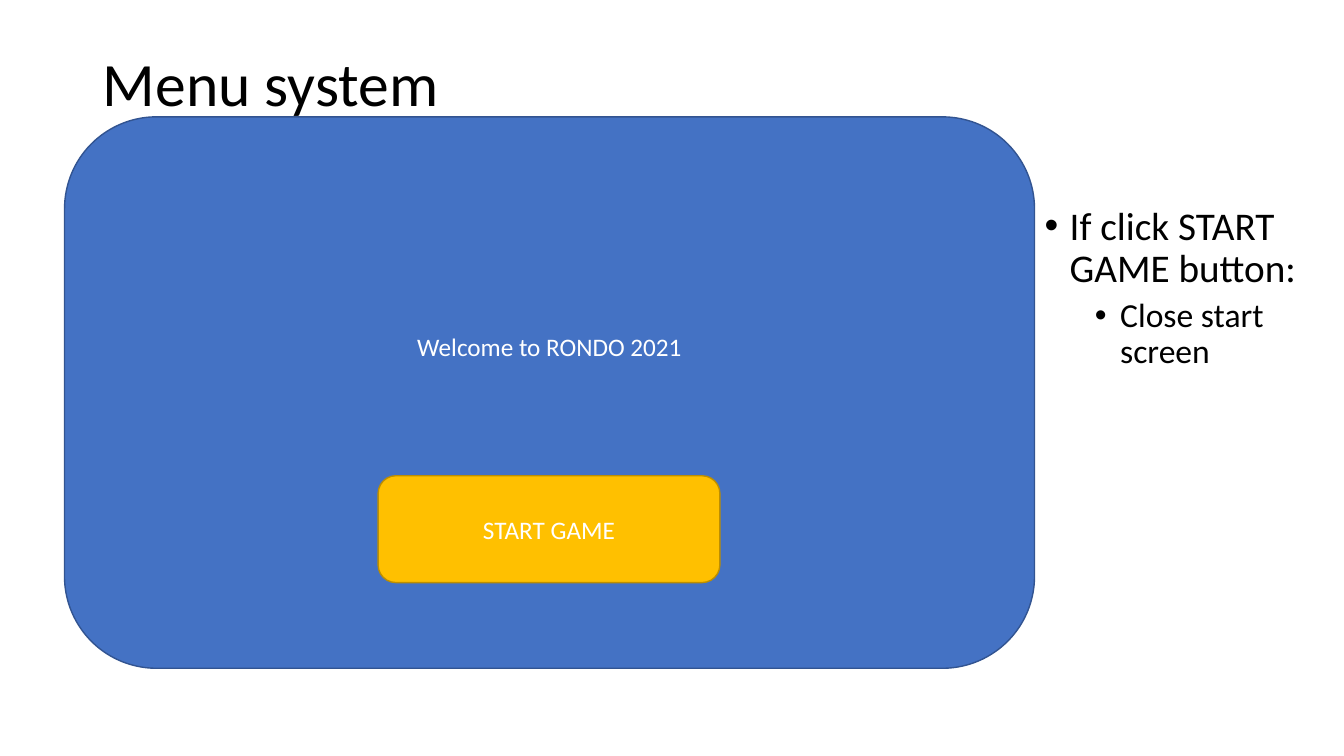
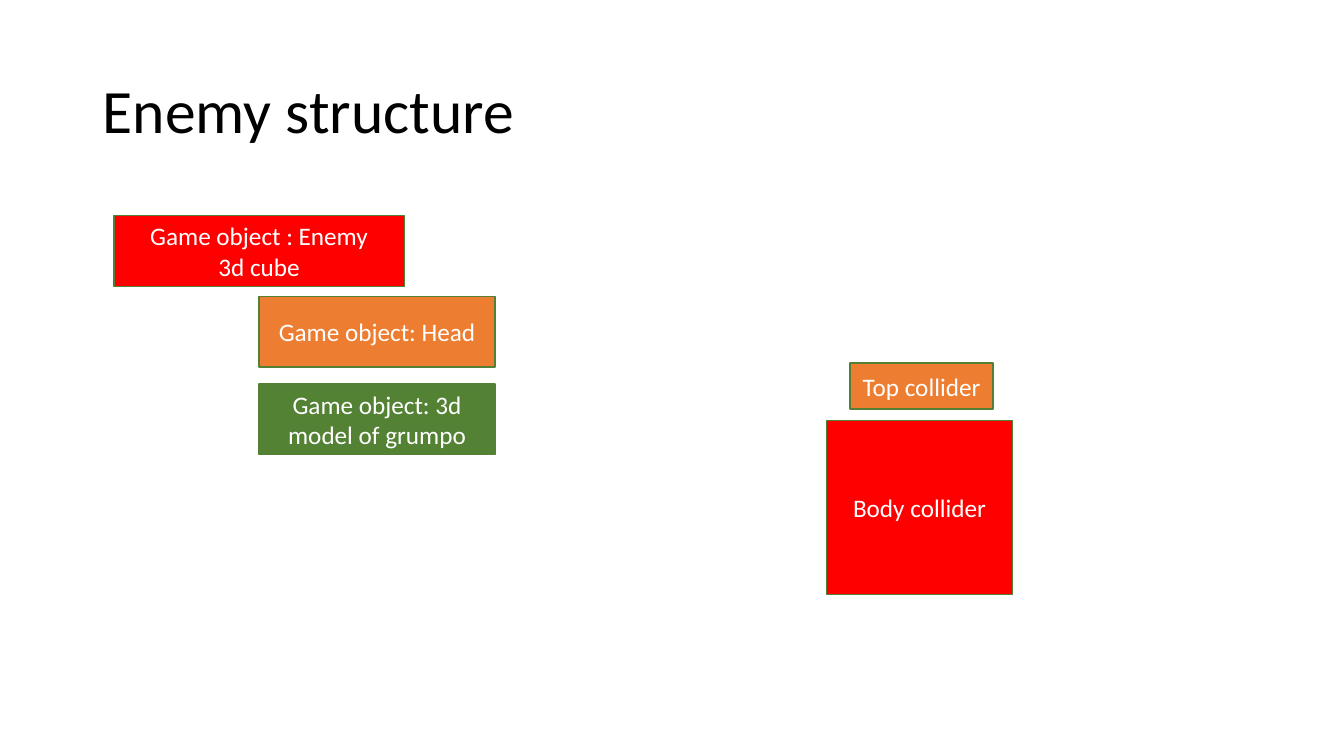
import pptx
import pptx.util
import pptx.dml.color
import pptx.enum.shapes
import pptx.enum.text
from lxml import etree

Inches, Pt = pptx.util.Inches, pptx.util.Pt
RGBColor = pptx.dml.color.RGBColor
SHAPE = pptx.enum.shapes.MSO_SHAPE
ALIGN = pptx.enum.text.PP_ALIGN
ANCHOR = pptx.enum.text.MSO_ANCHOR

# Shared style
FONT = "Calibri"
BLACK, WHITE = RGBColor(0, 0, 0), RGBColor(255, 255, 255)
BLUE, NAVY = RGBColor(0x44, 0x72, 0xC4), RGBColor(0x32, 0x54, 0x91)
GOLD, DARK_GOLD = RGBColor(0xFF, 0xC0, 0), RGBColor(0xBD, 0x8E, 0)
RED, ORANGE = RGBColor(0xFF, 0, 0), RGBColor(0xED, 0x7D, 0x31)
GREEN, DARK_GREEN = RGBColor(0x54, 0x82, 0x35), RGBColor(0x53, 0x80, 0x35)
TITLE_AND_BODY, TITLE_ONLY = 1, 5
LEVELS = [dict(size=28, before=10, indent=0.25), dict(size=24, before=5, indent=0.75)]

# Content: boxes are (lines, fill, line, shape, (left, top, width, height), bottom inset)
CHILD_LEFT, CHILD_W, NODE_H = 2.57, 2.34, 0.7
SLIDES = [
    dict(title="Menu system", title_top=0.13,
         bullets=[("If click START GAME button:", 0), ("Close start screen", 1)],
         boxes=[
             (["Welcome to RONDO 2021"], BLUE, NAVY, SHAPE.ROUNDED_RECTANGLE,
              (0.64, 1.16, 9.62, 5.47), 0.97),
             (["START GAME"], GOLD, DARK_GOLD, SHAPE.ROUNDED_RECTANGLE,
              (3.75, 4.72, 3.39, 1.06), 0.05),
         ]),
    dict(title="Enemy structure", title_top=0.4, bullets=[],
         boxes=[(lines, fill, DARK_GREEN, SHAPE.RECTANGLE, place, 0.05)
                for lines, fill, place in [
                    (["Body collider"], RED, (8.2, 4.17, 1.84, 1.73)),
                    (["Top collider"], ORANGE, (8.43, 3.6, 1.42, 0.46)),
                    (["Game object : Enemy", "3d cube"], RED, (1.13, 2.14, 2.88, NODE_H)),
                    (["Game object: Head"], ORANGE, (CHILD_LEFT, 2.94, CHILD_W, NODE_H)),
                    (["Game object: 3d model of grumpo"], GREEN,
                     (CHILD_LEFT, 3.81, CHILD_W, NODE_H)),
                ]]),
]


def write(p, text, size=18, color=WHITE, align=ALIGN.CENTER, spacing=1.0, before=0):
    p.alignment, p.line_spacing, p.space_before = align, spacing, Pt(before)
    r = p.add_run()
    r.text = text
    r.font.name, r.font.size, r.font.color.rgb = FONT, Pt(size), color


def place_at(sp, left, top, width, height):
    sp.left, sp.top, sp.width, sp.height = map(Inches, (left, top, width, height))


def paragraphs(tf, items):
    """Yield each item with its own paragraph, using the first one already there."""
    for i, item in enumerate(items):
        yield (tf.add_paragraph() if i else tf.paragraphs[0]), item


def set_frame(tf, anchor):
    tf.word_wrap, tf.vertical_anchor = True, anchor
    tf.auto_size = pptx.enum.text.MSO_AUTO_SIZE.NONE


def add_bullet(p, indent):
    pPr = p._p.get_or_add_pPr()
    pPr.set("marL", str(Inches(indent)))
    pPr.set("indent", str(Inches(-0.25)))
    for tag, key, value in [("buFont", "typeface", "Arial"), ("buChar", "char", "•")]:
        etree.SubElement(pPr, pptx.oxml.ns.qn("a:" + tag)).set(key, value)


def add_title(s, text, top):
    sp = s.shapes.title
    place_at(sp, 0.92, top, 11.5, 1.45)
    set_frame(sp.text_frame, ANCHOR.MIDDLE)
    write(sp.text_frame.paragraphs[0], text, size=44, color=BLACK,
          align=ALIGN.LEFT, spacing=0.9)


def add_bullets(s, bullets):
    sp = s.placeholders[1]
    place_at(sp, 10.26, 2, 2.77, 4.76)
    set_frame(sp.text_frame, ANCHOR.TOP)
    for p, (text, level) in paragraphs(sp.text_frame, bullets):
        p.level = level
        style = LEVELS[level]
        write(p, text, size=style["size"], color=BLACK, align=ALIGN.LEFT,
              spacing=0.9, before=style["before"])
        add_bullet(p, style["indent"])


def add_box(s, lines, fill, line, shape, place, bottom):
    sp = s.shapes.add_shape(shape, *map(Inches, place))
    sp.shadow.inherit = False
    sp.fill.solid()
    sp.fill.fore_color.rgb = fill
    sp.line.color.rgb, sp.line.width = line, Pt(1)
    set_frame(sp.text_frame, ANCHOR.MIDDLE)
    sp.text_frame.margin_bottom = Inches(bottom)
    for p, text in paragraphs(sp.text_frame, lines):
        write(p, text)


def main():
    prs = pptx.Presentation()
    prs.slide_width, prs.slide_height = Inches(13.33), Inches(7.5)
    for content in SLIDES:
        layout = TITLE_AND_BODY if content["bullets"] else TITLE_ONLY
        s = prs.slides.add_slide(prs.slide_layouts[layout])
        add_title(s, content["title"], content["title_top"])
        if content["bullets"]:
            add_bullets(s, content["bullets"])
        for box in content["boxes"]:
            add_box(s, *box)
    prs.save("out.pptx")


if __name__ == "__main__":
    main()
